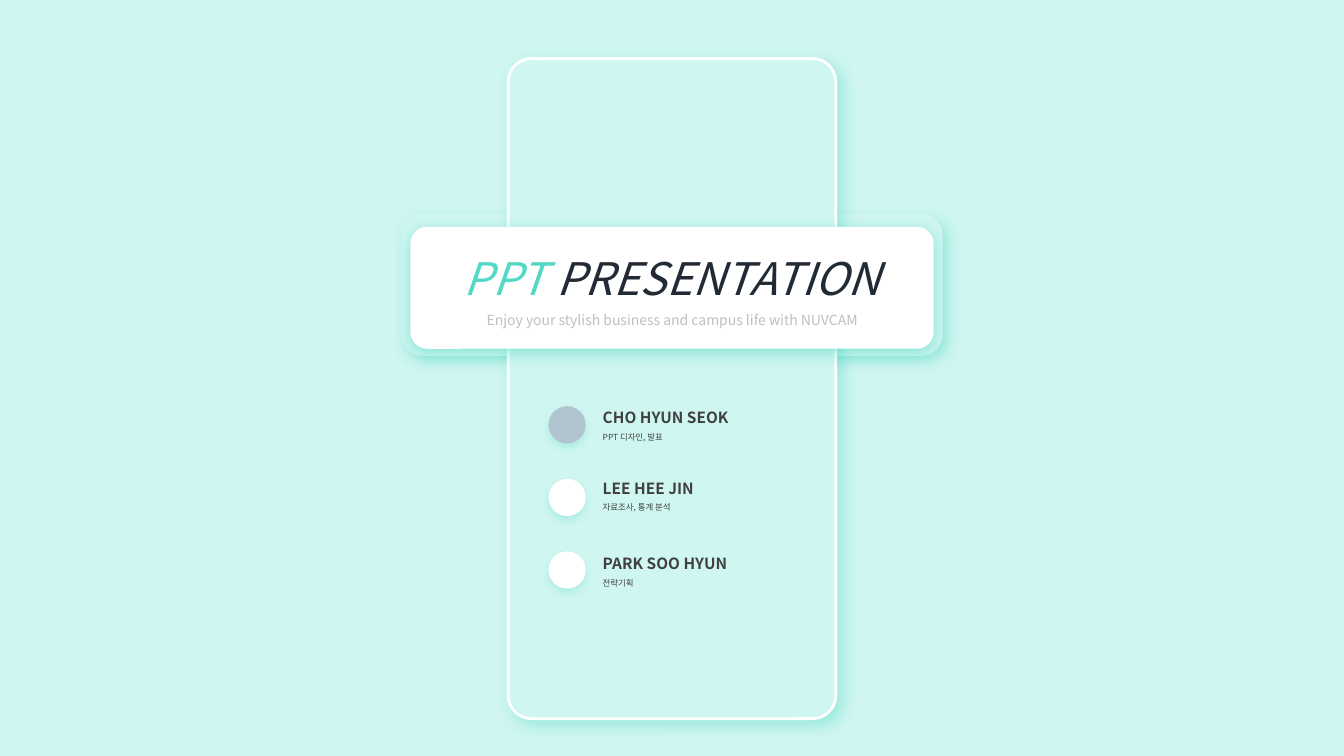
"""Build a mint title slide with a centred title card and a list of team members."""
from lxml.etree import SubElement
from pptx import Presentation
from pptx.dml.color import RGBColor
from pptx.enum.shapes import MSO_SHAPE as Shape
from pptx.enum.text import MSO_ANCHOR as Anchor, MSO_AUTO_SIZE as AutoSize, PP_ALIGN as Align
from pptx.oxml.ns import qn
from pptx.util import Inches, Pt

TITLE = [("PPT ", "teal"), ("PRESENTATION", "navy")]
SUBTITLE = "Enjoy your stylish business and campus life with NUVCAM"
MEMBERS = [
    ("CHO HYUN SEOK", "PPT 디자인, 발표", "steel", 3.91),
    ("LEE HEE JIN", "자료조사, 통계 분석", "white", 4.61),
    ("PARK SOO HYUN", "전략기획", "white", 5.36),
]
COLORS = {
    "mint": "CFF6F1", "teal": "52D8C5", "navy": "222A35", "white": "FFFFFF",
    "steel": "B3C4D1", "ink": "404040", "silver": "BFBFBF",
}
FONT = "Noto Sans CJK KR"
WIDTH, HEIGHT = 13.33, 7.5
PANEL_SHADOW = dict(alpha=40, blur=10, distance=5, angle=45)
DOT_SHADOW = dict(alpha=25, blur=5, distance=3, angle=90)
CARD_SHADOW = dict(alpha=54, blur=11, distance=3, angle=90)
DOT_LEFT, DOT_TOP, DOT_SIZE, DOT_STEP = 5.44, 4.03, 0.37, 0.72
MEMBER_LEFT, MEMBER_WIDTH, MEMBER_HEIGHT = 5.88, 2.14, 0.51
CARD_WIDTH = 5.19
TITLE_TOP, TITLE_HEIGHT, SUBTITLE_HEIGHT = 2.43, 0.64, 0.2


def color(name):
    return RGBColor.from_string(COLORS[name])


def centred(width):
    return (WIDTH - width) / 2


def add_figure(page, kind, left, top, width, height, fill, shadow, corner=None, border=None):
    figure = page.shapes.add_shape(kind, *map(Inches, (left, top, width, height)))
    figure.fill.solid()
    figure.fill.fore_color.rgb = color(fill)
    if border:
        figure.line.color.rgb = color(border)
        figure.line.width = Pt(2)
    else:
        figure.line.fill.background()
    if corner:
        figure.adjustments[0] = corner
    figure.shadow.inherit = False
    effects = figure.element.spPr.find(qn("a:effectLst"))
    outer = SubElement(
        effects, qn("a:outerShdw"), blurRad=str(Pt(shadow["blur"])),
        dist=str(Pt(shadow["distance"])), dir=str(shadow["angle"] * 60000),
        algn="tl", rotWithShape="0")
    tint = SubElement(outer, qn("a:srgbClr"), val=COLORS["teal"])
    SubElement(tint, qn("a:alpha"), val=str(shadow["alpha"] * 1000))


def add_span(para, text, size, tint, bold=False, italic=False):
    span = para.add_run()
    span.text = text
    font = span.font
    font.name, font.size, font.bold, font.italic = FONT, Pt(size), bold, italic
    font.color.rgb = color(tint)
    SubElement(font._element, qn("a:ea"), typeface=FONT)


def place_heading(holder, top, height, spans, **style):
    holder.left, holder.top = Inches(centred(CARD_WIDTH)), Inches(top)
    holder.width, holder.height = Inches(CARD_WIDTH), Inches(height)
    holder.element.getparent().append(holder.element)
    frame = holder.text_frame
    frame.margin_left = frame.margin_right = frame.margin_top = frame.margin_bottom = 0
    frame.auto_size = AutoSize.NONE
    frame.vertical_anchor = Anchor.MIDDLE
    para = frame.paragraphs[0]
    para.alignment, para.line_spacing, para.space_before = Align.CENTER, 1.0, Pt(0)
    for text, tint in spans:
        add_span(para, text, tint=tint, **style)


def add_member(page, name, role, top):
    box = page.shapes.add_textbox(
        *map(Inches, (MEMBER_LEFT, top, MEMBER_WIDTH, MEMBER_HEIGHT)))
    frame = box.text_frame
    frame.word_wrap = True
    frame.auto_size = AutoSize.SHAPE_TO_FIT_TEXT
    lines = [(frame.paragraphs[0], name, 11, True), (frame.add_paragraph(), role, 6, False)]
    for para, text, size, bold in lines:
        para.line_spacing = 1.5
        add_span(para, text, size, "ink", bold=bold)


def main():
    deck = Presentation()
    deck.slide_width, deck.slide_height = Inches(WIDTH), Inches(HEIGHT)
    page = deck.slides.add_slide(deck.slide_layouts[0])
    page.background.fill.solid()
    page.background.fill.fore_color.rgb = color("mint")

    add_figure(page, Shape.ROUNDED_RECTANGLE, centred(5.37), 2.12, 5.37, 1.41,
               "mint", PANEL_SHADOW, corner=0.148)
    add_figure(page, Shape.ROUNDED_RECTANGLE, centred(3.25), 0.58, 3.25, 6.55,
               "mint", PANEL_SHADOW, corner=0.072, border="white")
    for row, (name, role, dot, top) in enumerate(MEMBERS):
        add_figure(page, Shape.OVAL, DOT_LEFT, DOT_TOP + row * DOT_STEP,
                   DOT_SIZE, DOT_SIZE, dot, DOT_SHADOW)
        add_member(page, name, role, top)
    add_figure(page, Shape.ROUNDED_RECTANGLE, centred(CARD_WIDTH), 2.25, CARD_WIDTH, 1.21,
               "white", CARD_SHADOW, corner=0.138)

    place_heading(page.shapes.title, TITLE_TOP, TITLE_HEIGHT, TITLE, size=32, italic=True)
    place_heading(page.placeholders[1], TITLE_TOP + TITLE_HEIGHT, SUBTITLE_HEIGHT,
                  [(SUBTITLE, "silver")], size=10)
    deck.save("out.pptx")


if __name__ == "__main__":
    main()
